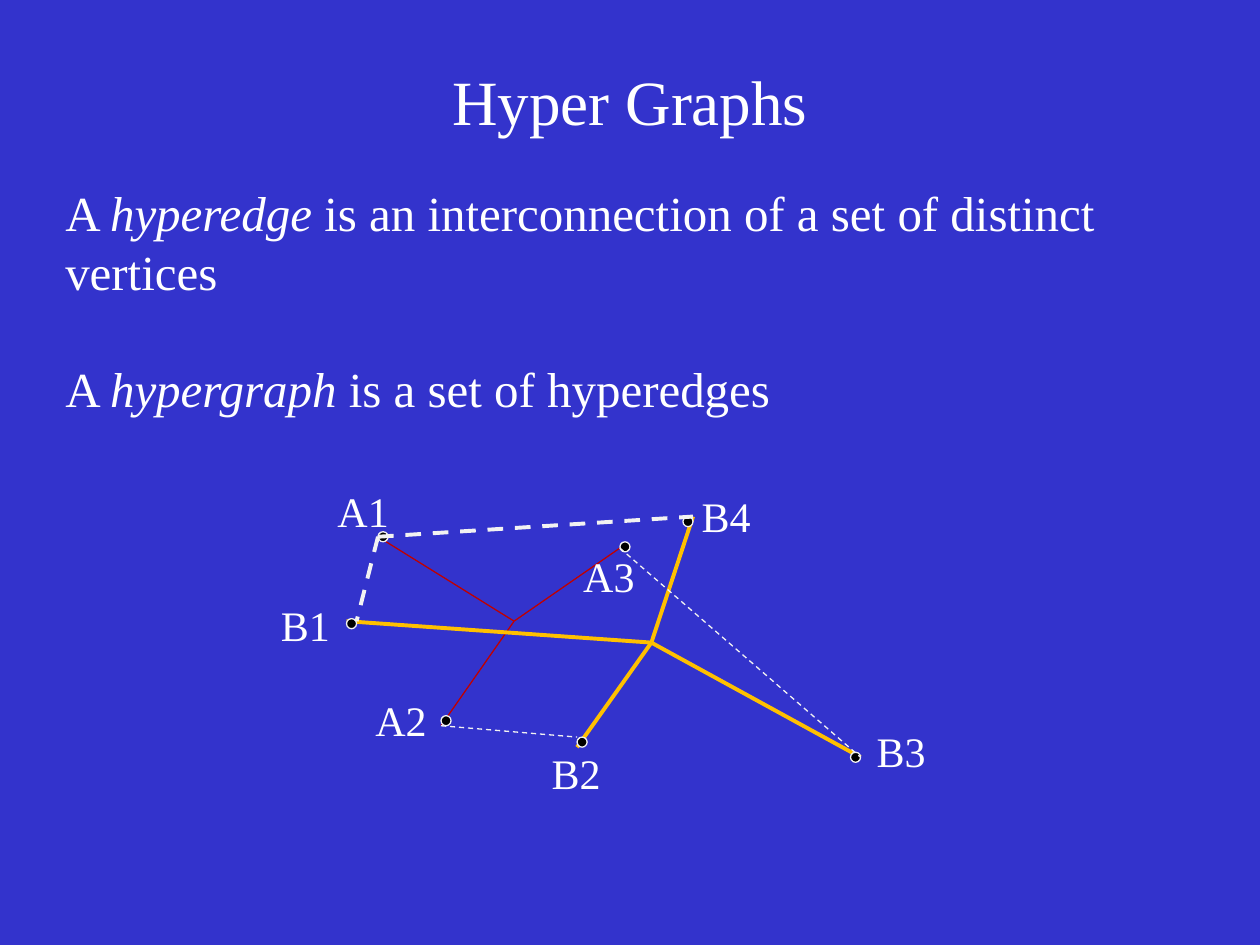
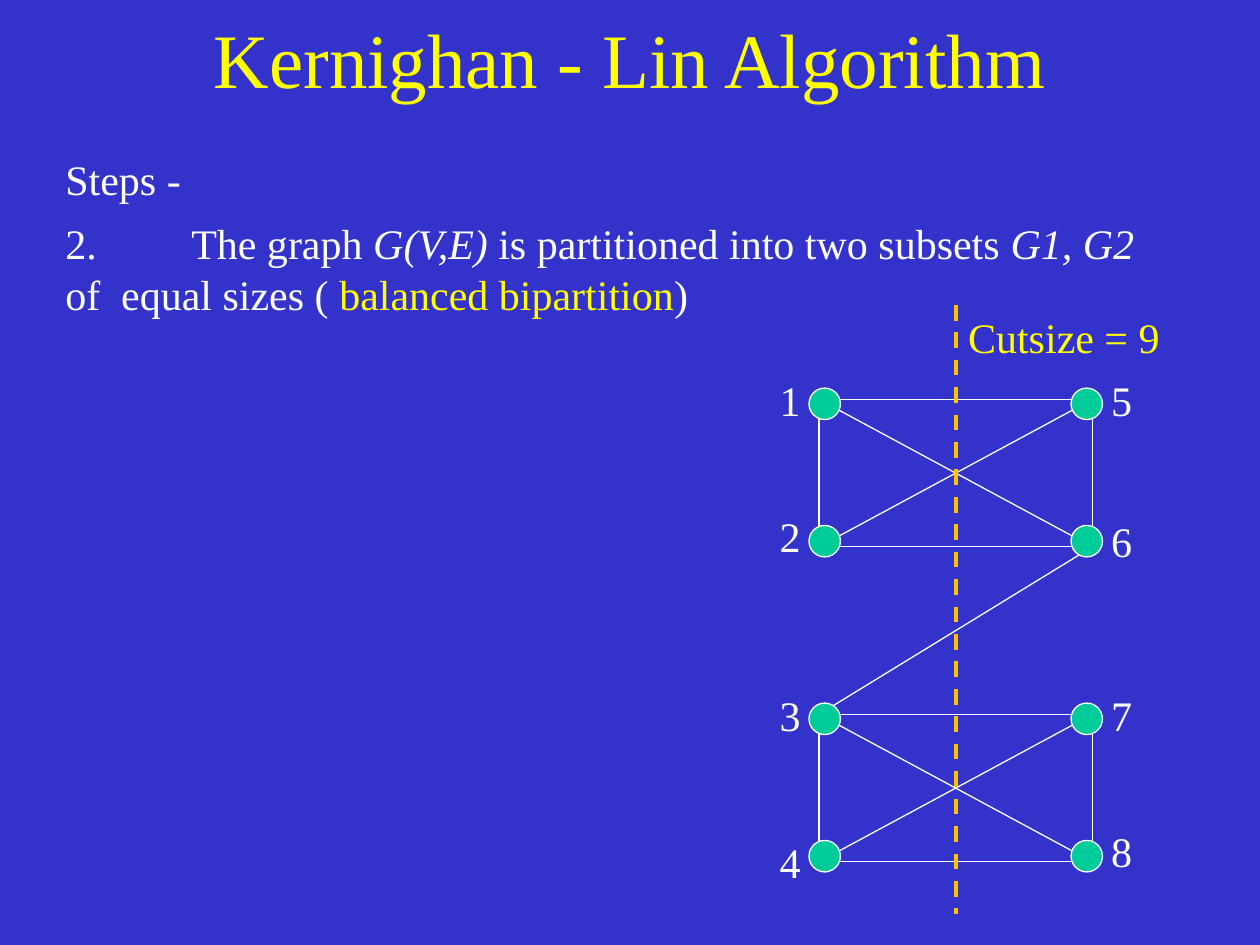
import pptx
import pptx.dml.color
import pptx.enum.dml
import pptx.enum.shapes
import pptx.enum.text
import pptx.oxml.ns
import pptx.util
from lxml import etree

Inches = pptx.util.Inches
RGBColor = pptx.dml.color.RGBColor
ANCHOR = pptx.enum.text.MSO_ANCHOR
ALIGN = pptx.enum.text.PP_ALIGN
SHAPE = pptx.enum.shapes.MSO_SHAPE
qn = pptx.oxml.ns.qn

FONT = "Times New Roman"
BLUE = RGBColor(0x33, 0x33, 0xCC)
WHITE = RGBColor(0xFF, 0xFF, 0xFF)
PALE = RGBColor(0xF2, 0xF2, 0xF2)
YELLOW = RGBColor(0xFF, 0xFF, 0x00)
GOLD = RGBColor(0xFF, 0xC0, 0x00)
RED = RGBColor(0xC0, 0x00, 0x00)
GREEN = RGBColor(0x00, 0xCC, 0x99)
BLACK = RGBColor(0x00, 0x00, 0x00)

THIN, THICK = 0.75, 2.25
DOT = 0.08
VERTEX = 0.25

VERTICES = {
    "A1": {"dot": (1, 0.42), "end": (1, 0.46), "label": (0.58, 0)},
    "A2": {"dot": (1.5, 1.88), "end": (1.5, 1.96), "label": (0.88, 1.66)},
    "A3": {"dot": (2.92, 0.5), "end": (2.92, 0.55), "label": (2.53, 0.52)},
    "B1": {"dot": (0.75, 1.11), "end": (0.75, 1.13), "label": (0.13, 0.91)},
    "B2": {"dot": (2.58, 2.05), "end": (2.58, 2.13), "label": (2.28, 2.08)},
    "B3": {"dot": (4.75, 2.17), "end": (4.83, 2.21), "label": (4.86, 1.91)},
    "B4": {"dot": (3.42, 0.3), "end": (3.5, 0.3), "label": (3.47, 0.04)},
}
HYPEREDGES = {"A": ((2.08, 1.13), RED, THIN), "B": ((3.17, 1.3), GOLD, THICK)}
LINKS = [
    ("A1", (0.83, 1.13), THICK),
    ("A1", VERTICES["B4"]["end"], THICK),
    ("A2", (2.58, 2.05), THIN),
    ("A3", VERTICES["B3"]["end"], THIN),
]


def add_text(slide, text, left, top, width, height, size=24, color=WHITE,
             align=ALIGN.LEFT, anchor=ANCHOR.MIDDLE, wrap=True, gap=0, tab=None):
    """Write a string, or paragraphs made of (words, font settings) runs."""
    frame = slide.shapes.add_textbox(
        Inches(left), Inches(top), Inches(width), Inches(height)).text_frame
    frame.word_wrap = wrap
    frame.vertical_anchor = anchor
    paragraphs = [[(text, {})]] if isinstance(text, str) else text
    for index, runs in enumerate(paragraphs):
        paragraph = frame.add_paragraph() if index else frame.paragraphs[0]
        paragraph.alignment = align
        paragraph.space_before = pptx.util.Pt(gap if index else 0)
        if tab is not None:
            stops = etree.SubElement(paragraph._p.get_or_add_pPr(), qn("a:tabLst"))
            etree.SubElement(stops, qn("a:tab"), pos=str(Inches(tab)), algn="l")
        for words, settings in runs:
            run = paragraph.add_run()
            run.text = words
            run.font.name = FONT
            run.font.size = pptx.util.Pt(size)
            run.font.italic = settings.get("italic", False)
            run.font.color.rgb = settings.get("color", color)


def add_line(slide, start, end, color=WHITE, weight=THIN, dashed=False):
    """Draw a straight line between two points."""
    line = slide.shapes.add_connector(
        pptx.enum.shapes.MSO_CONNECTOR.STRAIGHT, *map(Inches, (*start, *end)))
    line.line.color.rgb = color
    line.line.width = pptx.util.Pt(weight)
    if dashed:
        line.line.dash_style = pptx.enum.dml.MSO_LINE_DASH_STYLE.DASH
    etree.SubElement(line._element.spPr, qn("a:effectLst"))


def add_outline(slide, kind, left, top, width, height, fill=None, color=WHITE):
    """Draw a thinly outlined shape, hollow unless a fill is given."""
    shape = slide.shapes.add_shape(kind, *map(Inches, (left, top, width, height)))
    shape.shadow.inherit = False
    shape.line.color.rgb = color
    shape.line.width = pptx.util.Pt(THIN)
    if fill is None:
        shape.fill.background()
    else:
        shape.fill.solid()
        shape.fill.fore_color.rgb = fill


def add_slide(deck, title, top, height, size, color):
    """Add a blue slide with a centred title."""
    slide = deck.slides.add_slide(deck.slide_layouts[6])
    slide.background.fill.solid()
    slide.background.fill.fore_color.rgb = BLUE
    add_text(slide, title, 0, top, 10, height, size=size, color=color, align=ALIGN.CENTER)
    return slide


def draw_hypergraph(slide, left, top):
    """Draw both hyperedges, their vertices and the dashed links."""
    def place(point):
        return left + point[0], top + point[1]

    for family, (hub, color, weight) in HYPEREDGES.items():
        members = [spot for name, spot in VERTICES.items() if name.startswith(family)]
        for spot in members:
            add_line(slide, place(hub), place(spot["end"]), color, weight)
        for spot in members:
            add_outline(slide, SHAPE.OVAL, *place(spot["dot"]), DOT, DOT, BLACK, PALE)
    for name, end, weight in LINKS:
        add_line(slide, place(VERTICES[name]["end"]), place(end), PALE, weight, dashed=True)
    for name, spot in VERTICES.items():
        add_text(slide, name, *place(spot["label"]), 0.65, 0.5, wrap=False)


def draw_bipartition(slide, left, top):
    """Draw the eight-vertex graph and the cut through its middle."""
    width, height = 2.17, 1.17
    right = left + width
    tops = (top + 0.75, top + 3.25)
    for block_top in tops:
        bottom = block_top + height
        add_outline(slide, SHAPE.RECTANGLE, left, block_top, width, height)
        add_line(slide, (left, block_top), (right, bottom))
        add_line(slide, (right, block_top), (left, bottom))
    add_line(slide, (right, tops[0] + height), (left, tops[1]))

    rows = [block_top + shift for block_top in tops for shift in (-0.09, 1)]
    columns = (
        (left - 0.08, left - 0.41, "1234", (0.5, 1.58, 3, 4.17)),
        (right - 0.17, right + 0.05, "5678", (0.5, 1.62, 3, 4.08)),
    )
    for vertex_left, label_left, names, label_tops in columns:
        for name, vertex_top, label_top in zip(names, rows, label_tops):
            add_outline(slide, SHAPE.OVAL, vertex_left, vertex_top, VERTEX, VERTEX, GREEN)
            add_text(slide, name, label_left, top + label_top, 0.36, 0.5, wrap=False)

    cut = left + width / 2
    add_line(slide, (cut, top), (cut, top + 4.83), GOLD, THICK, dashed=True)
    add_text(slide, "Cutsize = 9", cut, top, 2.08, 0.5, color=YELLOW, anchor=ANCHOR.TOP)


def build_hyper_graphs(deck):
    """Build the slide that defines hyperedges and hypergraphs."""
    slide = add_slide(deck, "Hyper Graphs", 0.17, 1.25, 36, WHITE)
    definitions = [
        [("A ", {}), ("hyperedge", {"italic": True}),
         (" is an interconnection of a set of distinct vertices", {})],
        [("A ", {}), ("hypergraph", {"italic": True}), (" is a set of hyperedges", {})],
    ]
    add_text(slide, definitions, 0.42, 1.42, 9, 1.92, size=28, gap=33.5)
    draw_hypergraph(slide, 2, 3.8)


def build_kernighan_lin(deck):
    """Build the slide on the balanced bipartition step."""
    slide = add_slide(deck, "Kernighan - Lin Algorithm", 0, 0.92, 44, YELLOW)
    steps = [
        [("Steps -", {})],
        [("2.\tThe graph ", {}), ("G(V,E)", {"italic": True}),
         (" is partitioned into two subsets ", {}), ("G1, G2", {"italic": True}),
         (" of  equal sizes ( ", {}), ("balanced bipartition", {"color": YELLOW}), (")", {})],
    ]
    add_text(slide, steps, 0.42, 1.17, 9, 1.33, anchor=ANCHOR.TOP, gap=8, tab=1)
    draw_bipartition(slide, 6.5, 2.42)


def main():
    """Build and save the deck."""
    deck = pptx.Presentation()
    deck.slide_width, deck.slide_height = Inches(10), Inches(7.5)
    build_hyper_graphs(deck)
    build_kernighan_lin(deck)
    deck.save("out.pptx")


if __name__ == "__main__":
    main()
